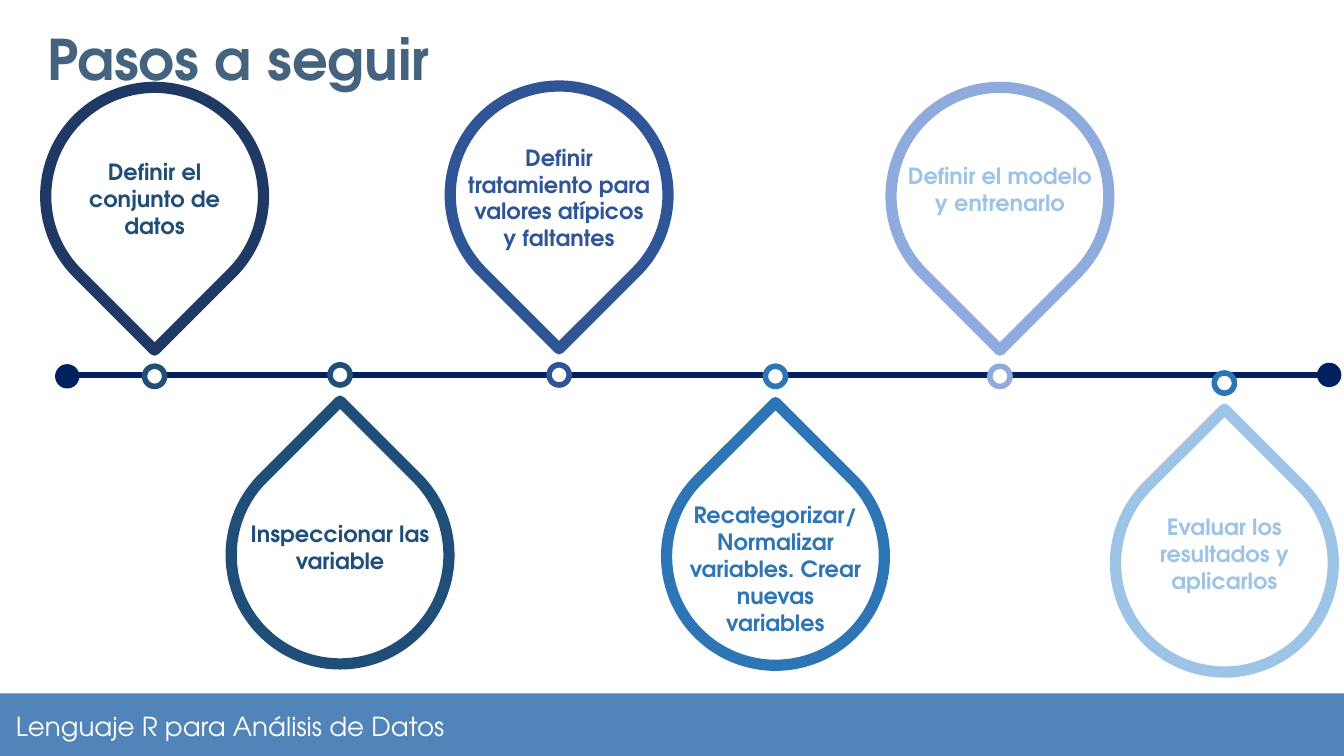
from collections import namedtuple

from lxml.etree import SubElement
from pptx import Presentation
from pptx.dml.color import RGBColor
from pptx.enum.shapes import MSO_CONNECTOR, MSO_SHAPE
from pptx.enum.text import MSO_ANCHOR, PP_ALIGN
from pptx.oxml.ns import qn
from pptx.util import Inches, Pt

COLUMNS = 10
WIDTH = Inches(10)
HEIGHT = WIDTH * 9 // 16
CELL = WIDTH / COLUMNS
FONT = "TeX Gyre Adventor"

WHITE = RGBColor(0xFF, 0xFF, 0xFF)
BAND = RGBColor(0x51, 0x84, 0xB9)
TITLE = RGBColor(0x45, 0x63, 0x7F)
AXIS = RGBColor(0x00, 0x20, 0x60)
NAVY = RGBColor(0x20, 0x38, 0x64)
DEEP = RGBColor(0x1F, 0x4E, 0x79)
ROYAL = RGBColor(0x2F, 0x55, 0x97)
BRIGHT = RGBColor(0x2E, 0x75, 0xB6)
LILAC = RGBColor(0x8F, 0xAA, 0xDC)
SKY = RGBColor(0x9D, 0xC3, 0xE6)

AXIS_ROW = 2.79
MARKER_SIZE = 0.15
DROP_SIZE = 1.62
DROP_OFFSET = 1.34
LABEL_HEIGHT = 0.41

Step = namedtuple("Step", "text column row label_row label_width drop_color marker_color text_color")
STEPS = [
    Step("Definir el conjunto de datos", 1.15, 2.8, 1.08, 1.55, NAVY, DEEP, DEEP),
    Step("Inspeccionar las variable", 2.53, 2.79, 3.77, 1.55, DEEP, DEEP, DEEP),
    Step("Definir tratamiento para valores atípicos y faltantes",
         4.16, 2.79, 0.97, 1.56, ROYAL, ROYAL, ROYAL),
    Step("Recategorizar/ Normalizar variables. Crear nuevas variables",
         5.77, 2.8, 3.63, 1.55, BRIGHT, BRIGHT, BRIGHT),
    Step("Definir el modelo y entrenarlo", 7.44, 2.8, 1.11, 1.59, LILAC, LILAC, SKY),
    Step("Evaluar los resultados y aplicarlos", 9.11, 2.85, 3.72, 1.55, SKY, BRIGHT, SKY),
]


def cells(*values):
    return [round(value * CELL) for value in values]


def write_text(shape, text, size, color, bold=False, align=PP_ALIGN.LEFT, anchor=MSO_ANCHOR.TOP):
    frame = shape.text_frame
    frame.text = text
    frame.word_wrap = True
    frame.vertical_anchor = anchor
    frame.margin_left = frame.margin_right = Inches(0.1)
    frame.margin_top = frame.margin_bottom = Inches(0.1)
    paragraph = frame.paragraphs[0]
    paragraph.alignment = align
    font = paragraph.runs[0].font
    font.name = FONT
    font.size = Pt(size)
    font.bold = bold
    font.color.rgb = color


def add_figure(slide, kind, box, fill=None, line=None, line_width=0):
    shape = slide.shapes.add_shape(kind, *cells(*box))
    shape.shadow.inherit = False
    if fill is None:
        shape.fill.background()
    else:
        shape.fill.solid()
        shape.fill.fore_color.rgb = fill
    if line is None:
        shape.line.fill.background()
    else:
        shape.line.color.rgb = line
        shape.line.width = Pt(line_width)
    return shape


def add_title(slide, text):
    title = slide.shapes.title
    title.left, title.top, title.width, title.height = cells(0.25, 0.18, 6.59, 0.51)
    write_text(title, text, 30, TITLE, bold=True, anchor=MSO_ANCHOR.MIDDLE)


def add_footer(slide, text):
    add_figure(slide, MSO_SHAPE.RECTANGLE, (0, 5.16, COLUMNS, 0.47), fill=BAND)
    label = slide.shapes.add_textbox(*cells(0.02, 5.17, 4.97, 0.47))
    write_text(label, text, 14, WHITE, anchor=MSO_ANCHOR.MIDDLE)


def add_dot(slide, column, row, fill, line, line_width):
    box = (column - MARKER_SIZE / 2, row - MARKER_SIZE / 2, MARKER_SIZE, MARKER_SIZE)
    add_figure(slide, MSO_SHAPE.OVAL, box, fill, line, line_width)


def add_axis(slide):
    axis = slide.shapes.add_connector(
        MSO_CONNECTOR.STRAIGHT, *cells(0.54, AXIS_ROW, 9.96, AXIS_ROW))
    axis.line.color.rgb = AXIS
    axis.line.width = Pt(3)
    SubElement(axis.element.spPr, qn("a:effectLst"))
    add_dot(slide, 0.5, AXIS_ROW + 0.01, AXIS, AXIS, 2.25)
    add_dot(slide, 9.89, AXIS_ROW, AXIS, AXIS, 2.25)


def add_step(slide, step, above):
    center_row = step.row - DROP_OFFSET if above else step.row + DROP_OFFSET
    box = (step.column - DROP_SIZE / 2, center_row - DROP_SIZE / 2, DROP_SIZE, DROP_SIZE)
    drop = add_figure(slide, MSO_SHAPE.TEAR, box, line=step.drop_color, line_width=6)
    drop.rotation = 135 if above else 315
    label = slide.shapes.add_textbox(*cells(
        step.column - step.label_width / 2, step.label_row, step.label_width, LABEL_HEIGHT))
    write_text(label, step.text, 12, step.text_color, bold=True, align=PP_ALIGN.CENTER)
    add_dot(slide, step.column, step.row, WHITE, step.marker_color, 3)


def main():
    presentation = Presentation()
    presentation.slide_width = WIDTH
    presentation.slide_height = HEIGHT
    slide = presentation.slides.add_slide(presentation.slide_layouts[5])
    add_title(slide, "Pasos a seguir")
    add_footer(slide, "Lenguaje R para Análisis de Datos")
    add_axis(slide)
    for index, step in enumerate(STEPS):
        add_step(slide, step, above=index % 2 == 0)
    presentation.save("out.pptx")


if __name__ == "__main__":
    main()
